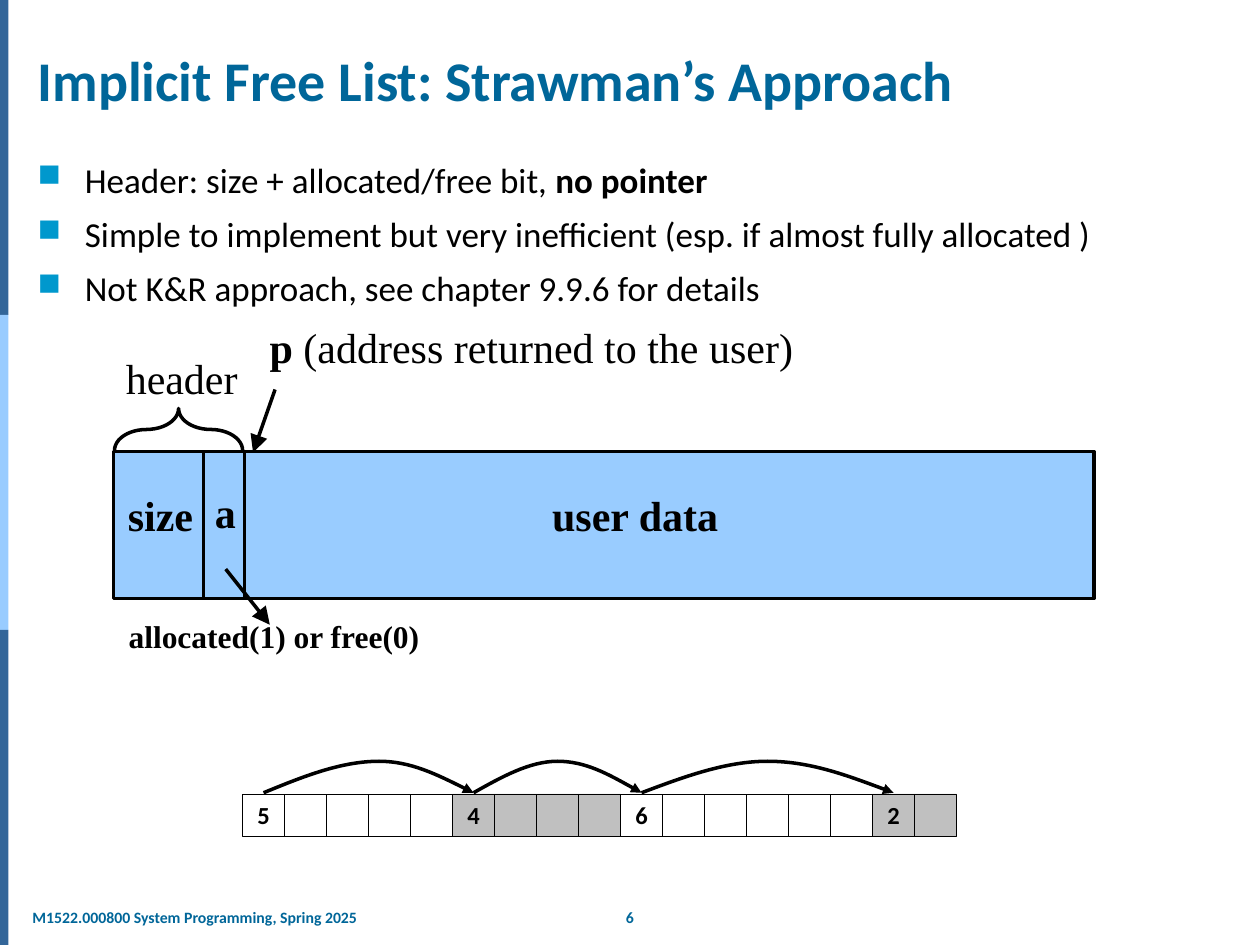
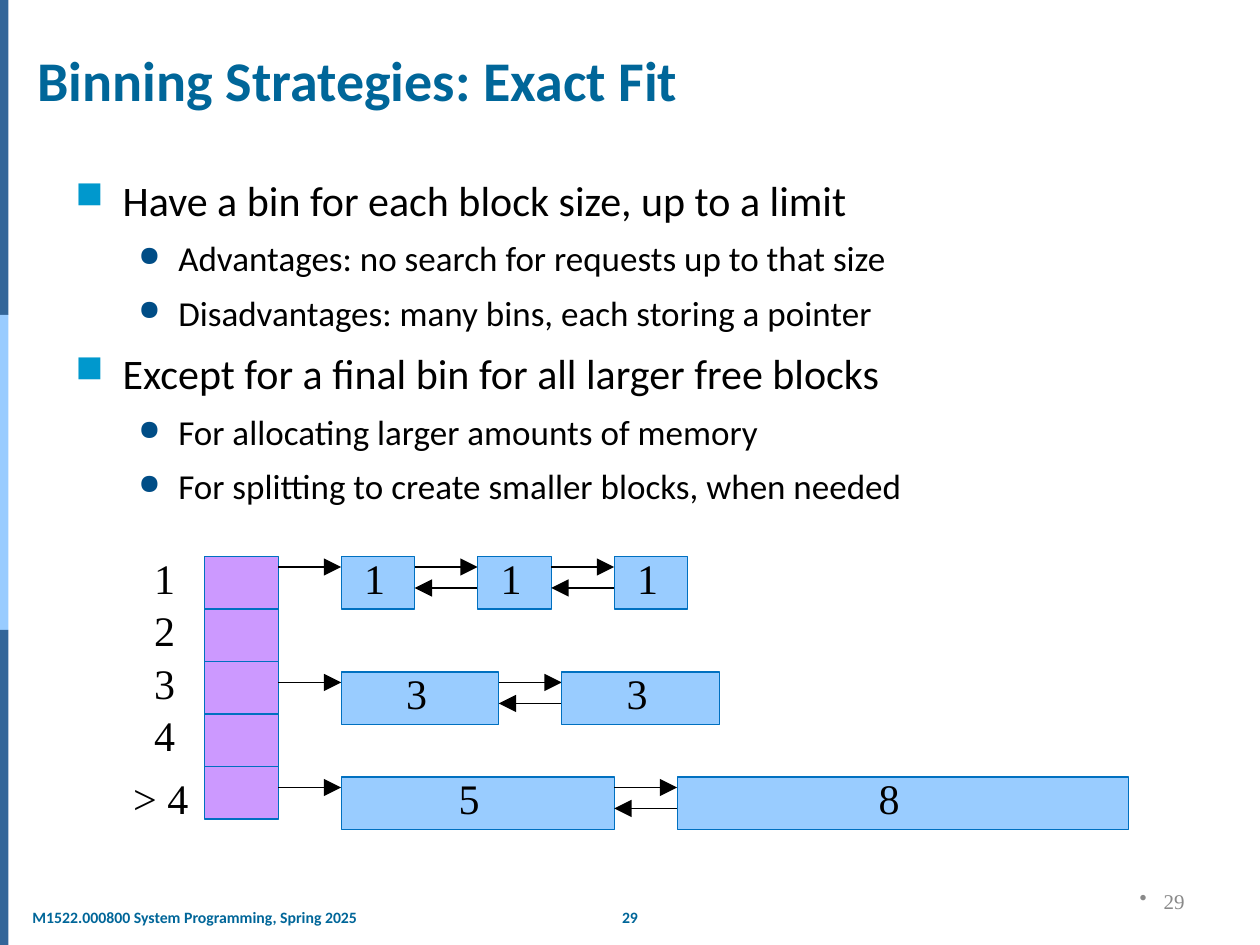
from lxml.etree import SubElement
from pptx import Presentation
from pptx.dml.color import RGBColor
from pptx.enum.shapes import MSO_CONNECTOR, MSO_SHAPE
from pptx.enum.text import MSO_ANCHOR as ANCHOR, PP_ALIGN as ALIGN
from pptx.oxml.ns import qn
from pptx.util import Emu, Pt

PX = 7620
BLACK = RGBColor(0, 0, 0)
WHITE = RGBColor(0xFF, 0xFF, 0xFF)
SILVER = RGBColor(0xC0, 0xC0, 0xC0)
GRAY = RGBColor(0x89, 0x89, 0x89)
TEAL = RGBColor(0x00, 0x66, 0x99)
NAVY = RGBColor(0x33, 0x66, 0x99)
SKY = RGBColor(0x99, 0xCC, 0xFF)
LILAC = RGBColor(0xCC, 0x99, 0xFF)
EDGE = RGBColor(0x00, 0x70, 0xC0)
SQUARE = RGBColor(0x00, 0x98, 0xCD)
DOT = RGBColor(0x00, 0x4D, 0x86)

SANS, SERIF = "Calibri", "Times New Roman"
TITLE = {"name": SANS, "size": Pt(32), "bold": True, "color": TEAL}
FOOTER = {**TITLE, "size": Pt(9)}
BODY = {"name": SANS, "size": Pt(20), "bold": False, "color": BLACK}
BODY_BIG = {**BODY, "size": Pt(24)}
COUNT = {**BODY, "size": Pt(14), "bold": True}
LABEL = {"name": SERIF, "size": Pt(24), "bold": False, "color": BLACK}
STRONG = {**LABEL, "bold": True}
NOTE = {**STRONG, "size": Pt(18)}
PAGE = {**LABEL, "size": Pt(12), "color": GRAY}

BULLETS = [
    {"char": "■", "color": SQUARE, "pct": 90, "left": 45, "hang": 45},
    {"char": "●", "color": DOT, "pct": 80, "left": 98, "hang": 38},
]
PAGE_BULLET = {"char": "•", "color": GRAY, "pct": 100, "left": 23, "hang": 23}

COURSE = "M1522.000800 System Programming, Spring 2025"


def px(*values):
    return [Emu(round(v * PX)) for v in values]


def apply(obj, **values):
    for name, value in values.items():
        setattr(obj, name, value)


def add_run(p, text, fmt):
    r = p.add_run()
    r.text = text
    for name, value in fmt.items():
        if name == "color":
            r.font.color.rgb = value
        else:
            setattr(r.font, name, value)


def set_bullet(p, bullet, space_pct=0):
    pPr = p._p.get_or_add_pPr()
    left, hang = px(bullet["left"], bullet["hang"])
    pPr.set("marL", str(left))
    pPr.set("indent", str(-hang))
    before = SubElement(pPr, qn("a:spcBef"))
    SubElement(before, qn("a:spcPct"), val=str(space_pct * 1000))
    color = SubElement(pPr, qn("a:buClr"))
    SubElement(color, qn("a:srgbClr"), val=str(bullet["color"]))
    SubElement(pPr, qn("a:buSzPct"), val=str(bullet["pct"] * 1000))
    SubElement(pPr, qn("a:buChar"), char=bullet["char"])


def add_text(slide, box, runs=(), align=ALIGN.LEFT, wrap=True, **frame):
    tf = slide.shapes.add_textbox(*px(*box)).text_frame
    apply(tf, word_wrap=wrap, **frame)
    p = tf.paragraphs[0]
    p.alignment = align
    for text, fmt in runs:
        add_run(p, text, fmt)
    return tf


def add_bullets(slide, box, items):
    tf = add_text(slide, box)
    for i, (level, runs) in enumerate(items):
        p = tf.paragraphs[0] if i == 0 else tf.add_paragraph()
        p.level = level
        set_bullet(p, BULLETS[level], 35)
        for text, fmt in runs:
            add_run(p, text, fmt)


def set_line(line, color, width):
    line.color.rgb = color
    line.width = Pt(width)


def add_box(slide, box, fill=None, edge=None, width=2, kind=MSO_SHAPE.RECTANGLE):
    sp = slide.shapes.add_shape(kind, *px(*box))
    sp.shadow.inherit = False
    if fill is None:
        sp.fill.background()
    else:
        sp.fill.solid()
        sp.fill.fore_color.rgb = fill
    if edge is None:
        sp.line.fill.background()
    else:
        set_line(sp.line, edge, width)
    return sp


def add_head(sp, size):
    ln = sp.line._get_or_add_ln()
    SubElement(ln, qn("a:tailEnd"), type="triangle", w=size, len=size)


def add_arrow(slide, x1, y1, x2, y2, width):
    c = slide.shapes.add_connector(MSO_CONNECTOR.STRAIGHT, *px(x1, y1, x2, y2))
    set_line(c.line, BLACK, width)
    add_head(c, "lg")
    SubElement(c._element.spPr, qn("a:effectLst"))


def add_arc(slide, x1, x2, top, bottom, apex):
    steps = [apex * i / 3 for i in (1, 2, 3)]
    steps += [apex + (1 - apex) * i / 3 for i in (1, 2, 3)]
    middle = (top + bottom) / 2
    heights = [middle, top, top, top, middle, bottom]
    points = [px(x1 + (x2 - x1) * s, y) for s, y in zip(steps, heights)]
    builder = slide.shapes.build_freeform(*px(x1, bottom))
    builder.add_line_segments(points, close=False)
    sp = builder.convert_to_shape()
    sp.shadow.inherit = False
    sp.fill.background()
    set_line(sp.line, BLACK, 2)
    add_head(sp, "med")
    outline = sp._element.find(".//" + qn("a:path"))
    segments = outline.findall(qn("a:lnTo"))
    for i in range(0, len(segments), 3):
        curve = SubElement(outline, qn("a:cubicBezTo"))
        for segment in segments[i:i + 3]:
            curve.append(segment[0])
            outline.remove(segment)


def add_slide(prs, title, number):
    slide = prs.slides.add_slide(prs.slide_layouts[6])
    for i, color in enumerate((NAVY, SKY, NAVY)):
        add_box(slide, (0, 300 * i, 8, 300), color)
    add_text(slide, (578, 859, 44, 30), [(number, FOOTER)], ALIGN.CENTER, wrap=False)
    inset = px(7)[0]
    add_text(slide, (24, 859, 326, 30), [(COURSE, FOOTER)], wrap=False,
             margin_left=inset, margin_right=inset)
    add_text(slide, (24, 37, 1158, 76), [(title, TITLE)],
             vertical_anchor=ANCHOR.BOTTOM)
    return slide


def add_block_layout(slide):
    for x, w in ((220, 822), (108, 122), (194, 39)):
        add_box(slide, (x, 430, w, 140), SKY, BLACK)
    brace = add_box(slide, (150, 348, 40, 122), edge=BLACK, kind=MSO_SHAPE.LEFT_BRACE)
    brace.rotation = 90
    brace.adjustments[0] = 1.75
    brace.adjustments[1] = 0.5
    add_text(slide, (110, 460, 89, 60), [("size", STRONG)])
    add_text(slide, (193, 457, 89, 60), [("a", STRONG)])
    add_text(slide, (514, 460, 184, 60), [("user data", STRONG)], wrap=False)
    add_text(slide, (108, 330, 173, 60), [("header", LABEL)])
    add_text(slide, (245, 300, 523, 60),
             [("p ", STRONG), ("(address returned to the user)", LABEL)], wrap=False)
    add_text(slide, (59, 582, 404, 48), [("allocated(1) or free(0)", NOTE)], ALIGN.CENTER)
    add_arrow(slide, 262, 371, 241, 431, 2)
    add_arrow(slide, 215, 542, 257, 595, 2)


def add_heap(slide, blocks, left=231, top=756, cell=40):
    x = left
    starts = []
    for size, fill in blocks:
        starts.append(x + cell / 2)
        for i in range(size):
            sp = add_box(slide, (x, top, cell, cell), fill, BLACK, 0.25)
            if i == 0:
                tf = sp.text_frame
                apply(tf, word_wrap=False, vertical_anchor=ANCHOR.MIDDLE)
                tf.paragraphs[0].alignment = ALIGN.CENTER
                add_run(tf.paragraphs[0], str(size), COUNT)
            x += cell
    for x1, x2, apex in zip(starts, starts[1:], (0.55, 0.5, 0.5)):
        add_arc(slide, x1, x2, top - 31, top - 1, apex)


def add_bins(slide, names, left=195, top=530, width=70, height=50):
    for i, name in enumerate(names):
        y = top + height * i
        add_box(slide, (left, y, width, height), LILAC, EDGE, 0.75)
        box = (135, y - 10, 44, 60) if len(name) == 1 else (115, y, 77, 60)
        add_text(slide, box, [(name, LABEL)], wrap=False)


def add_chain(slide, y, size_labels, width, inset, left=265, gap=60):
    x = left
    for i, label in enumerate(size_labels):
        w, dx = width[i], inset[i]
        add_arrow(slide, x, y + 10, x + gap, y + 10, 0.75)
        if i:
            add_arrow(slide, x + gap, y + 30, x, y + 30, 0.75)
        x += gap
        add_box(slide, (x, y, w, 50), SKY, EDGE, 0.75)
        add_text(slide, (x + dx, y - 10, 44, 60), [(label, LABEL)], wrap=False)
        x += w


def build_strawman(prs):
    slide = add_slide(prs, "Implicit Free List: Strawman’s Approach", "6")
    add_bullets(slide, (24, 145, 1158, 706), [
        (0, [("Header: size + allocated/free bit, ", BODY),
             ("no pointer", {**BODY, "bold": True})]),
        (0, [("Simple to implement but very inefficient "
              "(esp. if almost fully allocated )", BODY)]),
        (0, [("Not K&R approach, see chapter 9.9.6 for details", BODY)]),
    ])
    add_block_layout(slide)
    add_heap(slide, [(5, WHITE), (4, SILVER), (6, WHITE), (2, SILVER)])


def build_exact_fit(prs):
    slide = add_slide(prs, "Binning Strategies: Exact Fit", "29")
    add_bullets(slide, (60, 160, 1110, 410), [
        (0, [("Have a bin for each block size, up to a limit", BODY_BIG)]),
        (1, [("Advantages: no search for requests up to that size", BODY)]),
        (1, [("Disadvantages: many bins, each storing a pointer", BODY)]),
        (0, [("Except for a final bin for all larger free blocks", BODY_BIG)]),
        (1, [("For allocating larger amounts of memory", BODY)]),
        (1, [("For splitting to create smaller blocks, when needed", BODY)]),
    ])
    tf = add_text(slide, (860, 834, 280, 48), [("29", PAGE)], ALIGN.RIGHT,
                  vertical_anchor=ANCHOR.MIDDLE)
    set_bullet(tf.paragraphs[0], PAGE_BULLET)
    add_bins(slide, ["1", "2", "3", "4", "> 4"])
    add_chain(slide, 530, "111", [70] * 3, [10] * 3)
    add_chain(slide, 640, "33", [150] * 2, [50] * 2)
    add_chain(slide, 740, "58", [260, 430], [100, 180])


def main():
    prs = Presentation()
    prs.slide_width, prs.slide_height = px(1200, 900)
    build_strawman(prs)
    build_exact_fit(prs)
    prs.save("out.pptx")


if __name__ == "__main__":
    main()
